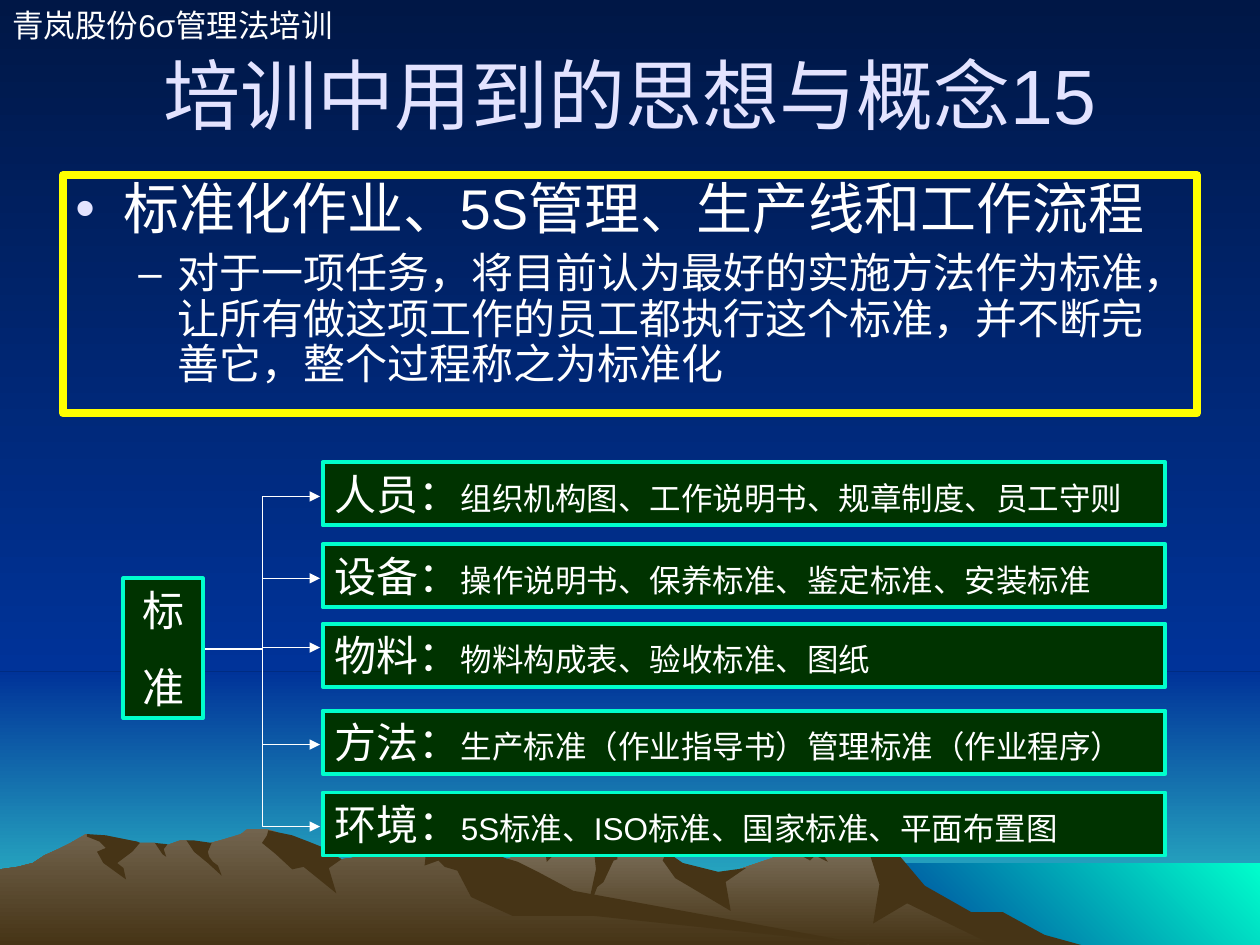
from lxml.etree import SubElement
from pptx import Presentation
from pptx.dml.color import RGBColor
from pptx.enum.shapes import MSO_CONNECTOR, MSO_SHAPE
from pptx.enum.text import MSO_ANCHOR, PP_ALIGN
from pptx.oxml.ns import qn
from pptx.util import Emu, Pt

EMU_PER_PX = 9144  # 100 px to the inch
WIDTH, HEIGHT = 1000, 750

NAVY = RGBColor(0x00, 0x17, 0x46)
BLUE = RGBColor(0x00, 0x33, 0x99)
TEAL = RGBColor(0x33, 0xCC, 0xCC)
AQUA = RGBColor(0x00, 0xFF, 0xCC)
ROCK = RGBColor(0x72, 0x64, 0x4E)
PALE_ROCK = RGBColor(0x83, 0x77, 0x63)
DARK_ROCK = RGBColor(0x46, 0x34, 0x16)
LAVENDER = RGBColor(0xE3, 0xE3, 0xFF)
YELLOW = RGBColor(0xFF, 0xFF, 0x00)
GREEN = RGBColor(0x00, 0x33, 0x00)
WHITE = RGBColor(0xFF, 0xFF, 0xFF)

# Mountain outlines in slide px
RIGHT_RIDGE = [
    (802, 740), (778, 727), (764, 723), (723, 698), (702, 671), (685, 660), (676, 667),
    (656, 671), (629, 671), (613, 681), (566, 697), (536, 690), (529, 676), (526, 673),
    (509, 669), (497, 671), (486, 673), (474, 661), (471, 658), (465, 658), (450, 664),
    (438, 671), (430, 671), (418, 675), (405, 681), (394, 685), (355, 698), (327, 709),
    (277, 739), (258, 750), (820, 750)]
LEFT_RIDGE = [
    (690, 750), (667, 748), (432, 712), (354, 665), (331, 663), (327, 668), (323, 668),
    (318, 664), (296, 676), (279, 681), (271, 682), (260, 676), (236, 681), (223, 663),
    (219, 660), (212, 658), (196, 658), (191, 662), (178, 666), (160, 671), (148, 667),
    (143, 667), (132, 671), (128, 671), (123, 669), (111, 669), (94, 671), (68, 662),
    (56, 669), (46, 674), (35, 679), (26, 685), (14, 688), (0, 690), (0, 750)]
RIGHT_SHADOWS = [
    [(796, 724), (771, 724), (734, 703), (707, 671), (685, 660), (689, 664), (685, 671),
     (691, 680), (698, 702), (693, 733), (720, 717), (788, 750), (858, 750), (829, 742)],
    [(471, 658), (474, 662), (469, 664), (468, 671), (472, 680), (473, 690), (465, 727),
     (474, 704), (479, 700), (487, 683), (490, 682), (490, 676), (497, 671), (493, 670)],
    [(529, 676), (526, 683), (536, 697), (580, 723), (576, 700), (592, 689), (570, 692),
     (542, 685)],
    [(650, 671), (630, 671), (631, 675), (630, 676), (643, 683), (647, 679), (657, 684),
     (652, 676), (656, 671)],
    [(433, 677), (432, 673), (434, 671), (439, 670), (437, 673), (439, 679), (434, 684)]]
LEFT_SHADOWS = [
    [(212, 663), (208, 669), (219, 678), (232, 690), (241, 688), (267, 709), (261, 689),
     (271, 682), (266, 679), (260, 674), (245, 668), (232, 663), (213, 659)],
    [(370, 668), (354, 665), (344, 665), (339, 669), (337, 687), (348, 683), (353, 688),
     (363, 691), (374, 712), (407, 727), (472, 727), (690, 750), (455, 707), (427, 692),
     (411, 684), (401, 681), (386, 675)],
    [(154, 667), (168, 669), (165, 676), (166, 680), (169, 684), (173, 687), (176, 695),
     (165, 685), (154, 676), (148, 667)],
    [(133, 670), (130, 674), (132, 680), (129, 678), (123, 669)],
    [(109, 668), (111, 669), (105, 676), (93, 685), (98, 689), (100, 698), (82, 685),
     (77, 676), (84, 673), (79, 668), (69, 664), (69, 662), (84, 663), (94, 665)]]

# Label, details, top of the box, height at which its arrow arrives
STANDARDS = [
    ("人员：", "组织机构图、工作说明书、规章制度、员工守则", 367, 394),
    ("设备：", "操作说明书、保养标准、鉴定标准、安装标准", 432, 459),
    ("物料：", "物料构成表、验收标准、图纸", 495, 514),
    ("方法：", "生产标准（作业指导书）管理标准（作业程序）", 564, 591),
    ("环境：", "5S标准、ISO标准、国家标准、平面布置图", 629, 656)]


def px(*lengths):
    return [Emu(length * EMU_PER_PX) for length in lengths]


def paint_gradient(fill, start, end, angle=270):
    fill.gradient()
    fill.gradient_angle = angle
    for stop, color in zip(fill.gradient_stops, (start, end)):
        stop.color.rgb = color


def add_band(slide, box, start, end, angle=270):
    band = slide.shapes.add_shape(MSO_SHAPE.RECTANGLE, *px(*box))
    band.shadow.inherit = False
    band.line.fill.background()
    paint_gradient(band.fill, start, end, angle)


def add_rock(slide, points, top_color=None):
    builder = slide.shapes.build_freeform(*points[0], scale=EMU_PER_PX)
    builder.add_line_segments(points[1:], close=True)
    rock = builder.convert_to_shape()
    rock.shadow.inherit = False
    rock.line.fill.background()
    if top_color:
        paint_gradient(rock.fill, top_color, DARK_ROCK)
    else:
        rock.fill.solid()
        rock.fill.fore_color.rgb = DARK_ROCK


def format_run(run, size, color=WHITE):
    run.font.size = Pt(size)
    run.font.name = "Arial"
    run.font.color.rgb = color
    SubElement(run.font._element, qn("a:ea"), typeface="Noto Sans CJK SC")


def format_paragraph(paragraph, size, color=WHITE, align=PP_ALIGN.LEFT, before=0):
    paragraph.alignment = align
    paragraph.space_before = Pt(before)
    for run in paragraph.runs:
        format_run(run, size, color)


def add_bullet(paragraph, mark, color, left, hanging):
    properties = paragraph._p.get_or_add_pPr()
    properties.set("marL", str(left * EMU_PER_PX))
    properties.set("indent", str(-hanging * EMU_PER_PX))
    bullet_color = SubElement(properties, qn("a:buClr"))
    SubElement(bullet_color, qn("a:srgbClr"), val=str(color))
    SubElement(properties, qn("a:buFont"), typeface="Arial")
    SubElement(properties, qn("a:buChar"), char=mark)


def add_frame(slide, box, line_color, line_width, fill_color=None):
    frame = slide.shapes.add_shape(MSO_SHAPE.RECTANGLE, *px(*box))
    frame.shadow.inherit = False
    frame.line.color.rgb = line_color
    frame.line.width = Pt(line_width)
    if fill_color is None:
        frame.fill.background()
    else:
        frame.fill.solid()
        frame.fill.fore_color.rgb = fill_color
    frame.text_frame.word_wrap = True
    frame.text_frame.vertical_anchor = MSO_ANCHOR.TOP
    return frame.text_frame


def add_caption(slide, box, text, size, color, align, anchor, before=0):
    caption = slide.shapes.add_textbox(*px(*box)).text_frame
    caption.word_wrap = True
    caption.vertical_anchor = anchor
    caption.text = text
    format_paragraph(caption.paragraphs[0], size, color, align, before)


def add_landscape(slide):
    paint_gradient(slide.background.fill, NAVY, BLUE)
    horizon = 533
    add_band(slide, (0, horizon, WIDTH, HEIGHT - horizon), BLUE, TEAL)
    add_band(slide, (0, 0, WIDTH, horizon), NAVY, BLUE)
    add_band(slide, (683, 685, 317, 65), AQUA, BLUE, 225)
    for ridge, top_color, shadows in ((RIGHT_RIDGE, PALE_ROCK, RIGHT_SHADOWS),
                                      (LEFT_RIDGE, ROCK, LEFT_SHADOWS)):
        add_rock(slide, ridge, top_color)
        for shadow in shadows:
            add_rock(slide, shadow)


def add_concept(slide, box):
    concept = add_frame(slide, box, YELLOW, 4.5)
    concept.text = "标准化作业、5S管理、生产线和工作流程"
    topic = concept.paragraphs[0]
    explanation = concept.add_paragraph()
    explanation.text = ("对于一项任务，将目前认为最好的实施方法作为标准，"
                        "让所有做这项工作的员工都执行这个标准，并不断完善它，整个过程称之为标准化")
    explanation.level = 1
    for paragraph, size, before in ((topic, 32, 8), (explanation, 24, 6)):
        format_paragraph(paragraph, size, before=before)
        paragraph.line_spacing = 0.9
    add_bullet(topic, "•", LAVENDER, 38, 38)
    add_bullet(explanation, "–", WHITE, 81, 31)


def add_arrow(slide, start, end):
    arrow = slide.shapes.add_connector(MSO_CONNECTOR.ELBOW, *px(*start, *end))
    arrow.line.color.rgb = WHITE
    arrow.line.width = Pt(0.75)
    SubElement(arrow.line._get_or_add_ln(), qn("a:tailEnd"), type="triangle")
    SubElement(arrow._element.spPr, qn("a:effectLst"))


def add_standards_tree(slide, left, top):
    # Detail boxes
    for label, details, box_top, _ in STANDARDS:
        standard = add_frame(slide, (left + 158, box_top, 669, 50), AQUA, 2.25, GREEN)
        paragraph = standard.paragraphs[0]
        paragraph.text = label
        format_paragraph(paragraph, 24, before=11.2)
        detail_run = paragraph.add_run()
        detail_run.text = details
        format_run(detail_run, 18)
    # Root box
    root = add_frame(slide, (left, top, 63, 111), AQUA, 2.25, GREEN)
    root.text = "标\n准"
    for paragraph in root.paragraphs:
        format_paragraph(paragraph, 24, align=PP_ALIGN.CENTER, before=15)
    # Branches
    for *_, arrow_y in STANDARDS:
        add_arrow(slide, (left + 65, top + 56), (left + 156, arrow_y))


def main():
    presentation = Presentation()
    presentation.slide_width, presentation.slide_height = px(WIDTH, HEIGHT)
    slide = presentation.slides.add_slide(presentation.slide_layouts[6])
    add_landscape(slide)
    add_caption(slide, (0, 0, 295, 40), "青岚股份6σ管理法培训", 18, WHITE,
                PP_ALIGN.LEFT, MSO_ANCHOR.TOP, 11.2)
    add_caption(slide, (50, 25, 900, 98), "培训中用到的思想与概念15", 44, LAVENDER,
                PP_ALIGN.CENTER, MSO_ANCHOR.MIDDLE)
    add_concept(slide, (50, 139, 900, 189))
    add_standards_tree(slide, 98, 459)
    presentation.save("out.pptx")


if __name__ == "__main__":
    main()
